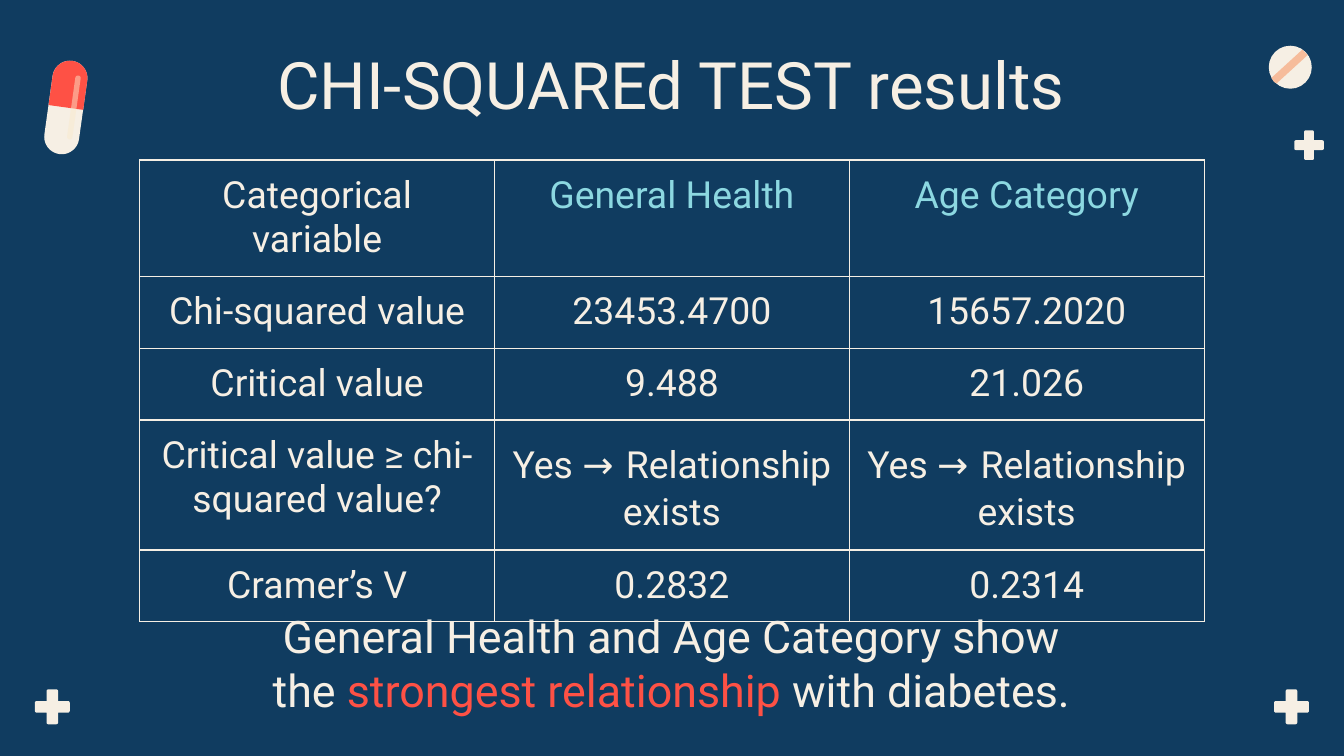
"""Build the slide of chi-squared test results."""
from math import cos, pi, radians, sin

from lxml.etree import SubElement
from pptx import Presentation
from pptx.dml.color import RGBColor
from pptx.enum.shapes import MSO_SHAPE
from pptx.enum.text import MSO_ANCHOR, MSO_AUTO_SIZE, PP_ALIGN
from pptx.oxml.ns import qn
from pptx.util import Inches, Pt

NAVY, CREAM, RED, AQUA, PEACH, SAND = "103C60", "F6EFE4", "FE5145", "8CD8E1", "F6BC9B", "FAE9CD"
ANSWER = [("Yes →", {}), (" ", {"size": 26}), ("Relationship exists", {})]
RESULTS = [
    ["Categorical variable", [("General Health", {"color": AQUA})], [("Age Category", {"color": AQUA})]],
    ["Chi-squared value", "23453.4700", "15657.2020"],
    ["Critical value", "9.488", "21.026"],
    ["Critical value ≥ chi-squared value?", ANSWER, ANSWER],
    ["Cramer’s V", "0.2832", "0.2314"],
]


def rgb(color):
    return RGBColor.from_string(color)


def write_span(para, text, size=20, color=CREAM, font="Roboto"):
    span = para.add_run()
    span.text = text
    span.font.size = Pt(size)
    span.font.name = font
    span.font.color.rgb = rgb(color)


def turn(points, angle, center=(0, 0)):
    return [(center[0] + x * cos(angle) - y * sin(angle),
             center[1] + x * sin(angle) + y * cos(angle)) for x, y in points]


def arc(x, y, radius, start, sweep, steps):
    angles = [start + sweep * step / steps for step in range(steps + 1)]
    return [(x + radius * cos(angle), y + radius * sin(angle)) for angle in angles]


class Slide:
    """Holds the style and the current slide, and draws each kind of element."""

    def __init__(self, page, background):
        self.page = page
        page.background.fill.solid()
        page.background.fill.fore_color.rgb = rgb(background)

    def paint(self, shape, color, opacity=100):
        shape.shadow.inherit = False
        shape.fill.solid()
        shape.fill.fore_color.rgb = rgb(color)
        shape.line.fill.background()
        if opacity < 100:
            tint = next(shape._element.spPr.iter(qn("a:srgbClr")))
            SubElement(tint, qn("a:alpha"), val=str(opacity * 1000))

    def outline(self, points, color, opacity=100):
        corners = [(Inches(x), Inches(y)) for x, y in points]
        builder = self.page.shapes.build_freeform(*corners[0], scale=1.0)
        builder.add_line_segments(corners[1:], close=True)
        self.paint(builder.convert_to_shape(), color, opacity)

    def plus(self, x, y, reach):
        arm, corner = reach / 3, reach / 9
        tip = [(-arm, -arm)]
        tip += arc(corner - arm, corner - reach, corner, pi, pi / 2, 4)
        tip += arc(arm - corner, corner - reach, corner, -pi / 2, pi / 2, 4)
        points = [point for side in range(4) for point in turn(tip, side * pi / 2, (x, y))]
        self.outline(points, CREAM)

    def capsule(self, x, y, radius, color, half=False, opacity=100):
        straight = 0.22
        points = arc(0, -straight, radius, pi, pi, 20)
        if half:
            points += [(radius, 0), (-radius, 0)]
        else:
            points += arc(0, straight, radius, 0, pi, 20)
        self.outline(turn(points, radians(8), (x, y)), color, opacity)

    def disc(self, x, y, radius, color):
        shape = self.page.shapes.add_shape(
            MSO_SHAPE.OVAL, Inches(x - radius), Inches(y - radius),
            Inches(2 * radius), Inches(2 * radius))
        self.paint(shape, color)

    def fill_para(self, para, content, **style):
        para.alignment = PP_ALIGN.CENTER
        spans = [(content, {})] if isinstance(content, str) else content
        for text, extra in spans:
            write_span(para, text, **{**style, **extra})

    def text(self, left, top, width, height, content, size, fit=MSO_AUTO_SIZE.NONE):
        box = self.page.shapes.add_textbox(Inches(left), Inches(top), Inches(width), Inches(height))
        frame = box.text_frame
        frame.word_wrap = True
        frame.auto_size = fit
        frame.vertical_anchor = MSO_ANCHOR.TOP
        frame.margin_left = frame.margin_right = Inches(0.1)
        frame.margin_top = frame.margin_bottom = Inches(0.1)
        self.fill_para(frame.paragraphs[0], content, size=size)

    def border(self, cell, color, width):
        properties = cell._tc.get_or_add_tcPr()
        for index, side in enumerate(("a:lnL", "a:lnR", "a:lnT", "a:lnB")):
            line = SubElement(properties, qn(side), w=str(Pt(width)))
            solid = SubElement(line, qn("a:solidFill"))
            SubElement(solid, qn("a:srgbClr"), val=color)
            properties.insert(index, line)

    def table(self, left, top, column_width, row_height, rows):
        columns = len(rows[0])
        grid = self.page.shapes.add_table(
            len(rows), columns, Inches(left), Inches(top),
            Inches(column_width * columns), Inches(row_height * len(rows))).table
        grid.first_row = grid.horz_banding = False
        for row_index, row in enumerate(rows):
            for column_index, content in enumerate(row):
                cell = grid.cell(row_index, column_index)
                cell.fill.background()
                cell.margin_left = cell.margin_right = Inches(0.1)
                cell.margin_top = cell.margin_bottom = Inches(0.1)
                self.fill_para(cell.text_frame.paragraphs[0], content)
                self.border(cell, CREAM, 0.75)


def main():
    deck = Presentation()
    deck.slide_width, deck.slide_height = Inches(10), Inches(10 * 9 / 16)
    slide = Slide(deck.slides.add_slide(deck.slide_layouts[6]), NAVY)

    for x, y, reach in [(9.74, 1.08, 0.11), (0.39, 5.26, 0.13), (9.61, 5.26, 0.13)]:
        slide.plus(x, y, reach)
    slide.disc(9.6, 0.5, 0.16, CREAM)
    slide.outline([(9.69, 0.37), (9.46, 0.58), (9.48, 0.61), (9.5, 0.62),
                   (9.73, 0.41), (9.71, 0.39)], PEACH)
    slide.capsule(0.49, 0.8, 0.13, CREAM)
    slide.capsule(0.49, 0.8, 0.13, RED, half=True)
    slide.capsule(0.55, 0.8, 0.02, SAND, opacity=49)

    slide.text(0.83, 0.23, 8.33, 0.74, "CHI-SQUAREd TEST results", 35)
    slide.text(1.83, 4.43, 6.33, 1.01, [
        ("General Health and Age Category show the ", {}),
        ("strongest relationship", {"color": RED}),
        (" with diabetes.", {}),
    ], 24, MSO_AUTO_SIZE.SHAPE_TO_FIT_TEXT)
    slide.table(1.04, 1.19, 2.64, 0.42, RESULTS)
    deck.save("out.pptx")


if __name__ == "__main__":
    main()
